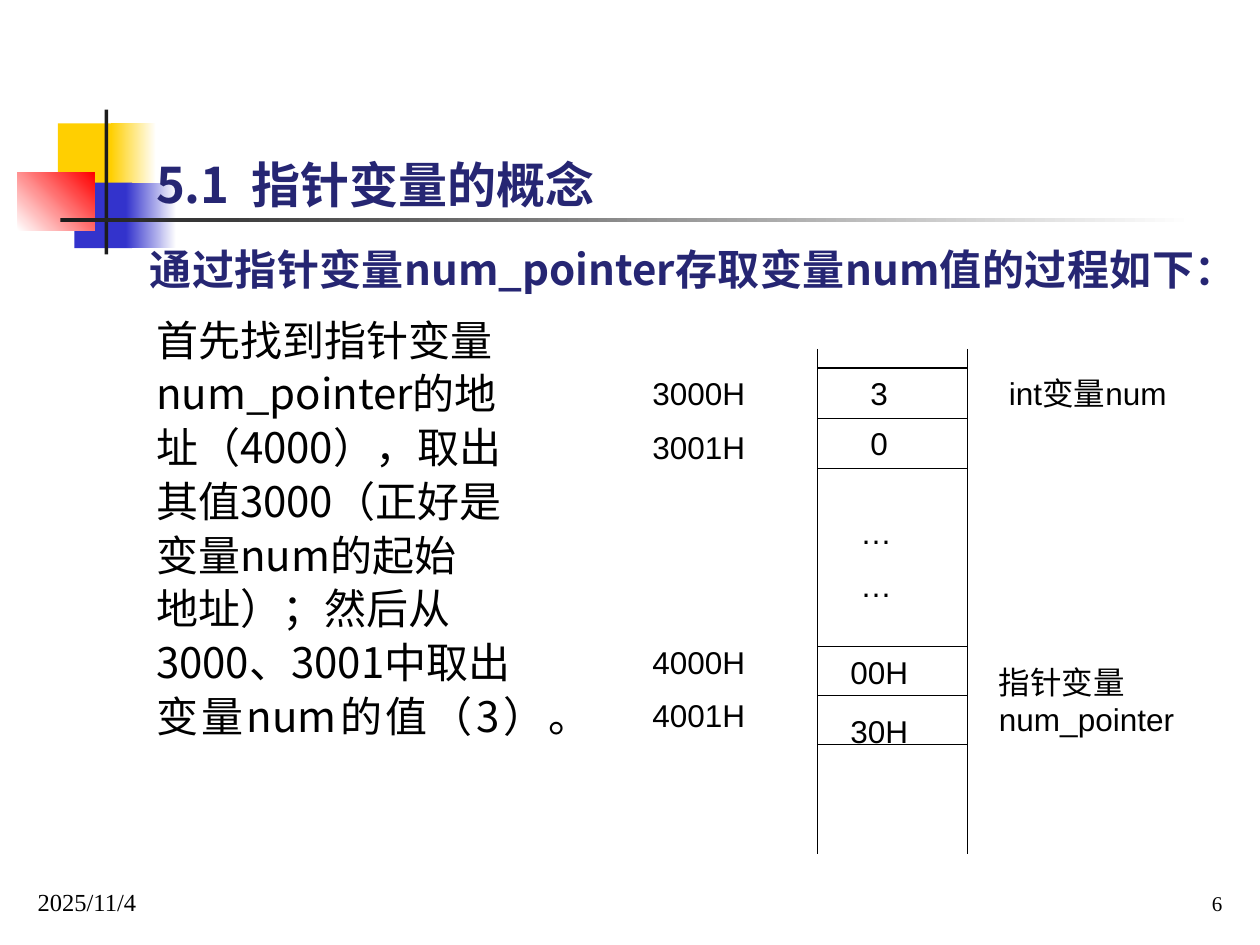
import pptx
import pptx.util
import pptx.dml.color
import pptx.enum.shapes
import pptx.enum.text
import pptx.oxml.ns
import lxml.etree

ALIGN = pptx.enum.text.PP_ALIGN
ANCHOR = pptx.enum.text.MSO_ANCHOR
INCH = pptx.util.Inches

THEME = {
    "cjk": "Noto Sans CJK SC", "sans": "Arial", "serif": "Times New Roman",
    "title": 28, "body": 24, "label": 18, "date": 14, "number": 12,
    "ink": "000000", "navy": "262673", "white": "FFFFFF", "yellow": "FFCF01",
    "blue": "3333CC", "red": "FF0000", "dark": "1C1C1C",
}

# Content
TITLE = "5.1  指针变量的概念"
LEAD = "通过指针变量num_pointer存取变量num值的过程如下："
STEPS = [
    "首先找到指针变量", "num_pointer的地", "址（4000），取出", "其值3000（正好是",
    "变量num的起始", "地址）；然后从", "3000、3001中取出", "变量num的值（3）。",
]
DATE, NUMBER = "2025/11/4", "6"

# Decoration: left, top, width, height, start colour, end colour, angle
DECOR = [
    (0.46, 0.98, 0.48, 0.52, "yellow", None, 0),
    (0.88, 0.98, 0.36, 0.52, "yellow", "white", 0),
    (0.59, 1.45, 0.46, 0.52, "blue", None, 0),
    (1.0, 1.45, 0.4, 0.52, "blue", "white", 0),
    (0.14, 1.37, 0.61, 0.46, "white", "red", 45),
    (0.83, 0.87, 0.03, 1.15, "dark", None, 0),
    (0.48, 1.73, 9, 0.03, "dark", "white", 0),
]

# Memory column: two walls, and two groups of two byte cells
WALLS, COLUMN_TOP, COLUMN_END = (6.49, 7.68), 2.77, 6.78
GROUPS = [(2.92, 0.4), (5.13, 0.39)]  # top of first cell, cell height

# Memory labels: left, top, width, height, paragraphs
LABELS = [
    (5.08, 2.92, 0.94, 0.85, ["3000H", "3001H"]),
    (6.81, 2.92, 0.79, 0.4, ["3"]),
    (6.81, 3.32, 0.71, 0.4, ["0"]),
    (6.73, 4.02, 0.63, 0.85, ["…", "…"]),
    (7.91, 2.92, 1.5, 0.4, ["int变量num"]),
    (5.08, 5.05, 0.94, 0.85, ["4000H", "4001H"]),
    (6.65, 5.13, 0.71, 0.4, ["00H"]),
    (6.65, 5.6, 0.71, 0.4, ["30H"]),
    (7.83, 5.21, 1.85, 0.7, ["指针变量num_pointer"]),
]


def rgb(name):
    return pptx.dml.color.RGBColor.from_string(THEME[name])


def add_block(s, box, color, end, angle):
    sp = s.shapes.add_shape(pptx.enum.shapes.MSO_SHAPE.RECTANGLE, *map(INCH, box))
    sp.shadow.inherit = False
    sp.line.fill.background()
    if end is None:
        sp.fill.solid()
        sp.fill.fore_color.rgb = rgb(color)
        return
    sp.fill.gradient()
    sp.fill.gradient_angle = angle
    for stop, name, position in zip(sp.fill.gradient_stops, (color, end), (0, 1)):
        stop.color.rgb = rgb(name)
        stop.position = position


def add_text(s, box, lines, size, font, color="ink", bold=False, align=ALIGN.LEFT,
             anchor=ANCHOR.TOP, spacing=None, before=0, indent=0):
    tf = s.shapes.add_textbox(*map(INCH, box)).text_frame
    tf.word_wrap = True
    tf.vertical_anchor = anchor
    for i, line in enumerate(lines):
        p = tf.paragraphs[0] if i == 0 else tf.add_paragraph()
        p.alignment = align
        p.line_spacing = spacing
        if i:
            p.space_before = pptx.util.Pt(before)
        if indent:
            p._p.get_or_add_pPr().set("indent", str(INCH(indent)))
        r = p.add_run()
        r.text = line
        r.font.size = pptx.util.Pt(THEME[size])
        r.font.bold = bold
        r.font.color.rgb = rgb(color)
        r.font.name = THEME[font]
        # East Asian characters use the sans CJK face
        ea = lxml.etree.SubElement(r._r.get_or_add_rPr(), pptx.oxml.ns.qn("a:ea"))
        ea.set("typeface", THEME["cjk"])


def add_line(s, x1, y1, x2, y2):
    line = s.shapes.add_connector(
        pptx.enum.shapes.MSO_CONNECTOR.STRAIGHT, *map(INCH, (x1, y1, x2, y2)))
    line.line.color.rgb = rgb("ink")
    line.line.width = pptx.util.Pt(0.75)
    lxml.etree.SubElement(line._element.spPr, pptx.oxml.ns.qn("a:effectLst"))


def main():
    prs = pptx.Presentation()
    prs.slide_width, prs.slide_height = INCH(10), INCH(7.5)
    s = prs.slides.add_slide(prs.slide_layouts[6])

    for *box, color, end, angle in DECOR:
        add_block(s, box, color, end, angle)

    # Title, lead sentence and steps
    add_text(s, (1.14, 0.99, 5.59, 0.75), [TITLE], "title", "cjk", "navy", True,
             anchor=ANCHOR.BOTTOM)
    add_text(s, (0.58, 1.93, 9, 0.6), [LEAD], "body", "cjk", "navy", True,
             align=ALIGN.JUSTIFY, spacing=0.9, indent=0.51)
    add_text(s, (1.14, 2.49, 3.31, 4.18), STEPS, "body", "cjk",
             align=ALIGN.JUSTIFY, spacing=0.9, before=0.2 * THEME["body"])

    # Memory diagram
    for x in WALLS:
        add_line(s, x, COLUMN_TOP, x, COLUMN_END)
    for top, height in GROUPS:
        for row in range(3):
            y = top + row * height
            add_line(s, WALLS[0], y, WALLS[1], y)
    for *box, lines in LABELS:
        add_text(s, box, lines, "label", "sans", before=0.5 * THEME["label"])

    # Footer
    add_text(s, (0.2, 6.82, 1.26, 0.5), [DATE], "date", "serif", anchor=ANCHOR.BOTTOM)
    add_text(s, (8.54, 6.82, 1.26, 0.5), [NUMBER], "number", "serif",
             align=ALIGN.RIGHT, anchor=ANCHOR.BOTTOM)

    prs.save("out.pptx")


if __name__ == "__main__":
    main()
